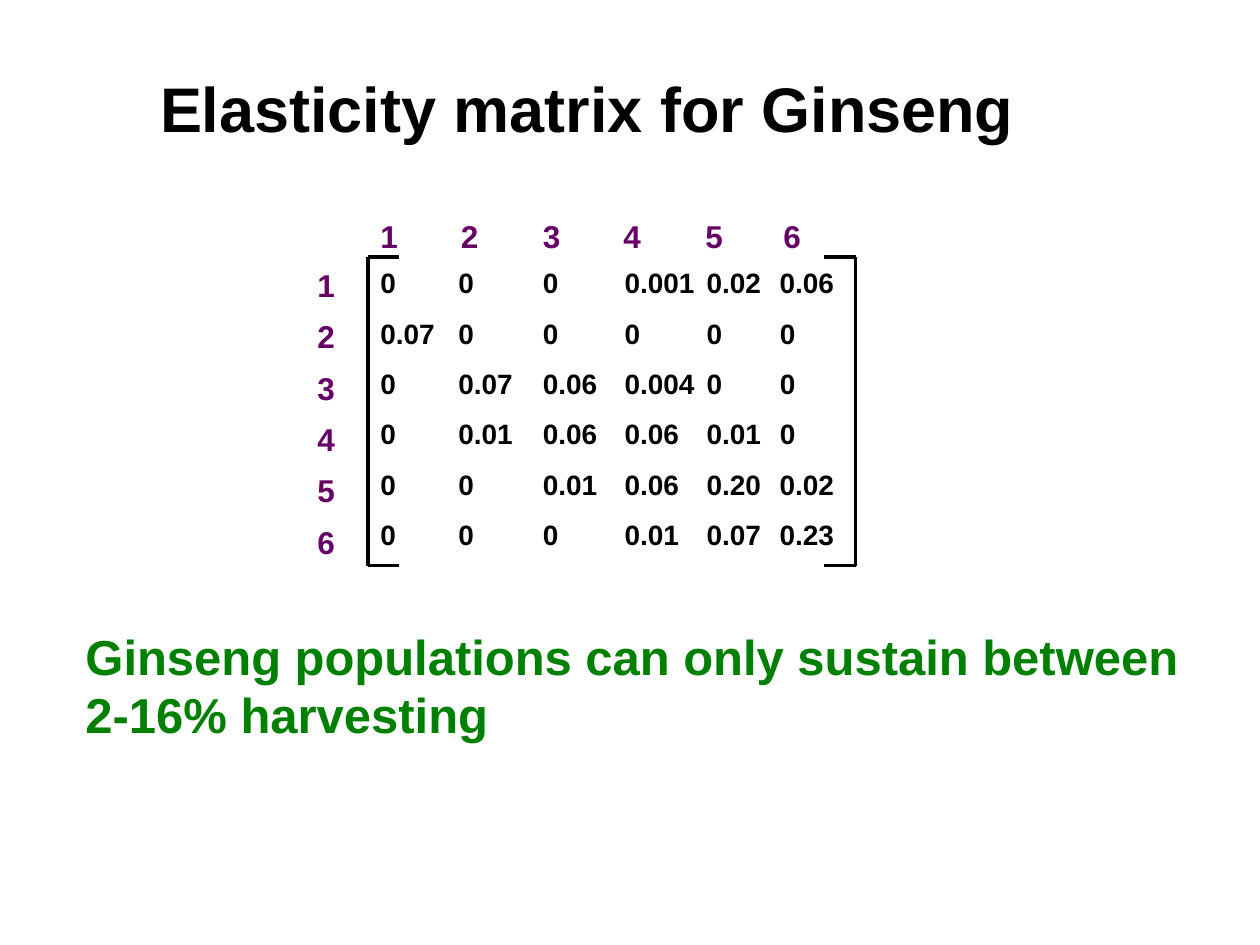
from dataclasses import dataclass

from lxml import etree
from pptx import Presentation
from pptx.dml.color import RGBColor
from pptx.enum import shapes, text
from pptx.oxml import ns
from pptx.util import Inches, Pt


@dataclass(frozen=True)
class Theme:
    font: str = "Arial"
    black: str = "000000"
    green: str = "008000"
    purple: str = "660066"
    title: int = 36
    note: int = 28
    label: int = 18
    cell: int = 16
    line: int = 2


THEME = Theme()
MATRIX = [
    ["0", "0", "0", "0.001", "0.02", "0.06"],
    ["0.07", "0", "0", "0", "0", "0"],
    ["0", "0.07", "0.06", "0.004", "0", "0"],
    ["0", "0.01", "0.06", "0.06", "0.01", "0"],
    ["0", "0", "0.01", "0.06", "0.20", "0.02"],
    ["0", "0", "0", "0.01", "0.07", "0.23"],
]
COLS = [2.92, 3.54, 4.21, 4.86, 5.51, 6.09]
HEADS = [2.92, 3.56, 4.21, 4.85, 5.5, 6.12]
WIDTHS = {1: 0.32, 4: 0.63, 5: 0.76}
TOP, BASE = 2.04, 4.49


def write(frame, words, size, color, wrap=True):
    frame.text = words
    frame.word_wrap = wrap
    frame.auto_size = text.MSO_AUTO_SIZE.SHAPE_TO_FIT_TEXT
    frame.vertical_anchor = text.MSO_ANCHOR.TOP
    para = frame.paragraphs[0]
    para.alignment = text.PP_ALIGN.LEFT
    font = para.font
    font.name, font.size, font.bold = THEME.font, Pt(size), True
    font.color.rgb = RGBColor.from_string(color)


def add_title(slide, words):
    title = slide.shapes.title
    title.left, title.top = Inches(1.17), Inches(0.5)
    title.width, title.height = Inches(7.5), Inches(0.7)
    write(title.text_frame, words, THEME.title, THEME.black)


def add_text(slide, words, x, y, w, h, size, color, wrap=False):
    box = slide.shapes.add_textbox(Inches(x), Inches(y), Inches(w), Inches(h))
    write(box.text_frame, words, size, color, wrap)


def add_label(slide, words, x, y):
    add_text(slide, words, x, y, 0.34, 0.4, THEME.label, THEME.purple)


def add_line(group, x1, y1, x2, y2):
    line = group.shapes.add_connector(
        shapes.MSO_CONNECTOR.STRAIGHT, Inches(x1), Inches(y1), Inches(x2), Inches(y2))
    line.line.width = Pt(THEME.line)
    line.line.color.rgb = RGBColor.from_string(THEME.black)
    etree.SubElement(line._element.spPr, ns.qn("a:effectLst"))


def add_bracket(slide, x, arm):
    group = slide.shapes.add_group_shape()
    add_line(group, x, TOP, x, BASE)
    for y in (BASE, TOP):
        add_line(group, x, y, x + arm, y)


def add_matrix(slide):
    add_bracket(slide, 2.92, 0.25)
    add_bracket(slide, 6.79, -0.25)
    for i, x in enumerate(HEADS):
        add_label(slide, str(i + 1), x, 1.67)
        add_label(slide, str(i + 1), 2.42, 2.06 + 2.04 * i / 5)
    for i, row in enumerate(MATRIX):
        for x, value in zip(COLS, row):
            add_text(slide, value, x, 2.06 + 0.4 * i, WIDTHS[len(value)], 0.37,
                     THEME.cell, THEME.black)


def main():
    deck = Presentation()
    deck.slide_width, deck.slide_height = Inches(10), Inches(7.5)
    slide = deck.slides.add_slide(deck.slide_layouts[5])
    add_title(slide, "Elasticity matrix for Ginseng")
    add_text(slide, "Ginseng populations can only sustain between 2-16% harvesting",
             0.58, 4.92, 8.92, 1.03, THEME.note, THEME.green, wrap=True)
    add_matrix(slide)
    deck.save("out.pptx")


if __name__ == "__main__":
    main()
